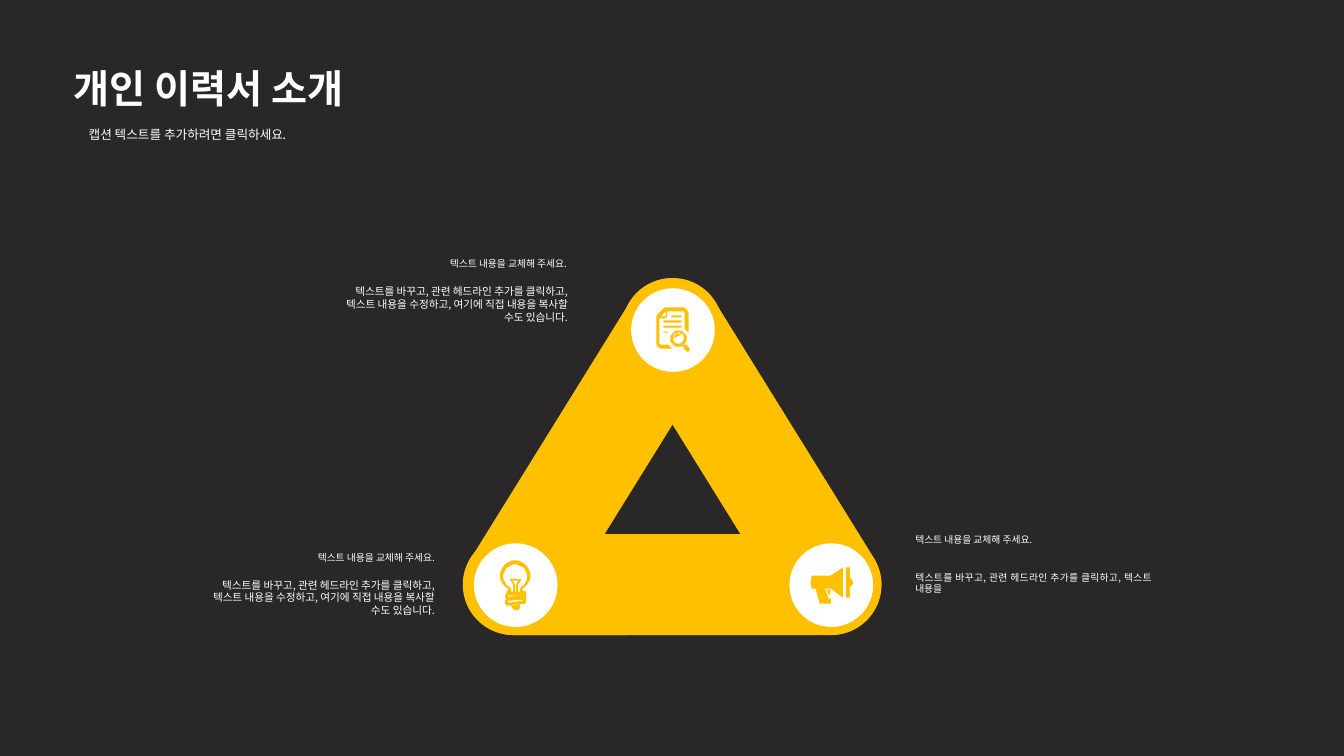
from dataclasses import dataclass
from math import cos, radians, sin

from lxml.etree import SubElement
from pptx import Presentation
from pptx.dml.color import RGBColor
from pptx.enum.shapes import MSO_SHAPE
from pptx.enum.text import MSO_ANCHOR, PP_ALIGN
from pptx.oxml.ns import qn
from pptx.util import Inches, Pt

FONT = "Noto Sans CJK KR"
DARK, GOLD, WHITE = "292727", "FFC000", "FFFFFF"
Point = tuple[float, float]
Loop = list[Point]


@dataclass
class Bar:
    left: float
    top: float
    width: float
    turn: float = 0


@dataclass
class Label:
    text: str
    box: tuple[float, float, float, float]
    size: float
    align: PP_ALIGN = PP_ALIGN.LEFT
    bold: bool = False
    inset: bool = True


def paint(fill, color: str) -> None:
    fill.solid()
    fill.fore_color.rgb = RGBColor.from_string(color)


def finish(shape, color: str) -> None:
    paint(shape.fill, color)
    shape.line.fill.background()
    shape.shadow.inherit = False


def place(shape, box: tuple[float, float, float, float]) -> None:
    for name, value in zip(("left", "top", "width", "height"), box):
        setattr(shape, name, Inches(value))


def write(shape, label: Label) -> None:
    place(shape, label.box)
    frame = shape.text_frame
    side, edge = (0.1, 0.05) if label.inset else (0, 0)
    form = {
        "word_wrap": True,
        "vertical_anchor": MSO_ANCHOR.TOP,
        "margin_left": Inches(side),
        "margin_right": Inches(side),
        "margin_top": Inches(edge),
        "margin_bottom": Inches(edge),
    }
    for name, value in form.items():
        setattr(frame, name, value)
    para = frame.paragraphs[0]
    para.alignment = label.align
    para.line_spacing = 1.0
    run = para.add_run()
    run.text = label.text
    for name, value in {"name": FONT, "size": Pt(label.size), "bold": label.bold}.items():
        setattr(run.font, name, value)
    paint(run.font.fill, WHITE)
    SubElement(run.font._element, qn("a:ea"), typeface=FONT)


def arc(x: float, y: float, r: float, start: int = 0, end: int = 360) -> Loop:
    """Points on a circle, clockwise from start to end degrees."""
    return [(x + r * cos(radians(a)), y + r * sin(radians(a)))
            for a in range(start, end + 1, 10)]


def rect(left: float, top: float, right: float, low: float) -> Loop:
    return [(left, top), (right, top), (right, low), (left, low)]


def draw(shapes, loops: list[Loop]) -> None:
    """Fill nested loops given in hundredths of an inch; inner loops are holes."""
    first, *rest = loops
    form = shapes.build_freeform(*first[0], scale=Inches(0.01))
    form.add_line_segments(first[1:], close=True)
    for loop in rest:
        form.move_to(*loop[0])
        form.add_line_segments(loop[1:], close=True)
    finish(form.convert_to_shape(), GOLD)


BARS = [
    Bar(4.61, 5.3, 4.13),
    Bar(5.46, 4.03, 3.99, 58.2),
    Bar(3.89, 4.03, 3.99, 301.8),
    Bar(4.59, 5.3, 2.13),
]
DISCS = [(6.26, 2.86), (4.7, 5.39), (7.83, 5.39)]

PAGE = [
    [(660, 305), (678, 305), (681, 307), (683, 310), (683, 330), (679, 326),
     (679, 310), (678, 309), (662, 309), (662, 312), (661, 315), (659, 316),
     (654, 316), (654, 341), (656, 342), (663, 342), (667, 346), (656, 346),
     (652, 344), (651, 341), (651, 313), (659, 305)],
    [(660, 309), (656, 314), (658, 314), (660, 314), (661, 312)],
    rect(658, 328.7, 663, 330.3),
    rect(658, 323.3, 676, 325),
    rect(658, 318.3, 676, 320),
    rect(666, 313.3, 676, 315),
    arc(673, 336, 8.2),
    arc(673, 335.7, 5.5),
    [(669, 336), (671, 333.5), (676, 332), (672, 331), (669, 333)],
    [(677, 343), (680, 348), (682, 349), (683.5, 348), (683.5, 346),
     (681, 342), (679.3, 341.5)],
]
BULB = [
    arc(511, 571, 15, 120, 420) + [
        (519, 587), (521, 586), (522, 588), (522, 592), (521.5, 593),
        (522, 596), (521, 599), (503, 601), (501, 599), (501, 596),
        (502, 594), (501, 592), (502, 588), (503, 588)],
    arc(511, 572, 12, 120, 420) + [
        (516, 584), (516, 587), (514, 587), (514, 580), (517, 575),
        (516, 574), (514, 575), (512, 574.5), (510, 574), (508, 574.5),
        (506, 575), (509, 580), (509, 587), (507, 587), (507, 584)],
    [(508, 576), (511, 579.5), (511, 587), (512, 587), (512, 579.5), (514, 576)],
    [(504, 591), (519, 589.7), (519, 590.5), (504, 592)],
    [(504, 596.5), (519, 595.2), (519, 596), (504, 597.5)],
    [(507, 601), (516, 600), (516, 603), (514, 605), (510, 605), (508, 603)],
]
HORN = [
    [(805, 571), (824, 571), (836, 563), (836, 593), (824, 584), (818, 584),
     (822, 594), (824, 594), (824, 599), (813, 599), (809, 584), (805, 584),
     (804, 578)],
    [(843, 573), (845, 575), (846, 578), (845, 581), (843, 582), (843, 593),
     (839, 593), (839, 563), (843, 563)],
    [(824, 585), (820, 585), (822, 590), (823, 590)],
]

HEAD = "텍스트 내용을 교체해 주세요."
OPEN = "텍스트를 바꾸고, 관련 헤드라인 추가를 클릭하고, 텍스트 내용을"
BODY = OPEN + " 수정하고, 여기에 직접 내용을 복사할 수도 있습니다."
RIGHT = PP_ALIGN.RIGHT
TITLE = Label("개인 이력서 소개", (0.73, 0.64, 3.07, 0.47), 28, bold=True, inset=False)
LABELS = [
    Label(HEAD, (8.98, 5.25, 1.52, 0.22), 7),
    Label(OPEN, (8.98, 5.62, 2.54, 0.33), 7, PP_ALIGN.JUSTIFY),
    Label(HEAD, (4.19, 2.51, 1.53, 0.22), 7, RIGHT),
    Label(BODY, (3.28, 2.78, 2.45, 0.55), 7.6, RIGHT),
    Label(HEAD, (2.71, 5.42, 1.7, 0.22), 7, RIGHT),
    Label(BODY, (1.96, 5.69, 2.45, 0.55), 7.6, RIGHT),
    Label("캡션 텍스트를 추가하려면 클릭하세요.", (0.88, 1.26, 2.4, 0.15), 9, inset=False),
]


def main() -> None:
    deck = Presentation()
    deck.slide_width, deck.slide_height = Inches(13.33), Inches(7.5)
    slide = deck.slides.add_slide(deck.slide_layouts[5])
    paint(slide.background.fill, DARK)
    shapes = slide.shapes
    write(shapes.title, TITLE)
    for bar in BARS:
        beam = shapes.add_shape(MSO_SHAPE.ROUNDED_RECTANGLE, 0, 0, 0, 0)
        place(beam, (bar.left, bar.top, bar.width, 1))
        beam.adjustments[0] = 0.5
        beam.rotation = bar.turn
        finish(beam, GOLD)
    for left, top in DISCS:
        disc = shapes.add_shape(MSO_SHAPE.OVAL, 0, 0, 0, 0)
        place(disc, (left, top, 0.83, 0.83))
        finish(disc, WHITE)
    for icon in (PAGE, BULB, HORN):
        draw(shapes, icon)
    for label in LABELS:
        write(shapes.add_textbox(0, 0, 0, 0), label)
    deck.save("out.pptx")


if __name__ == "__main__":
    main()
